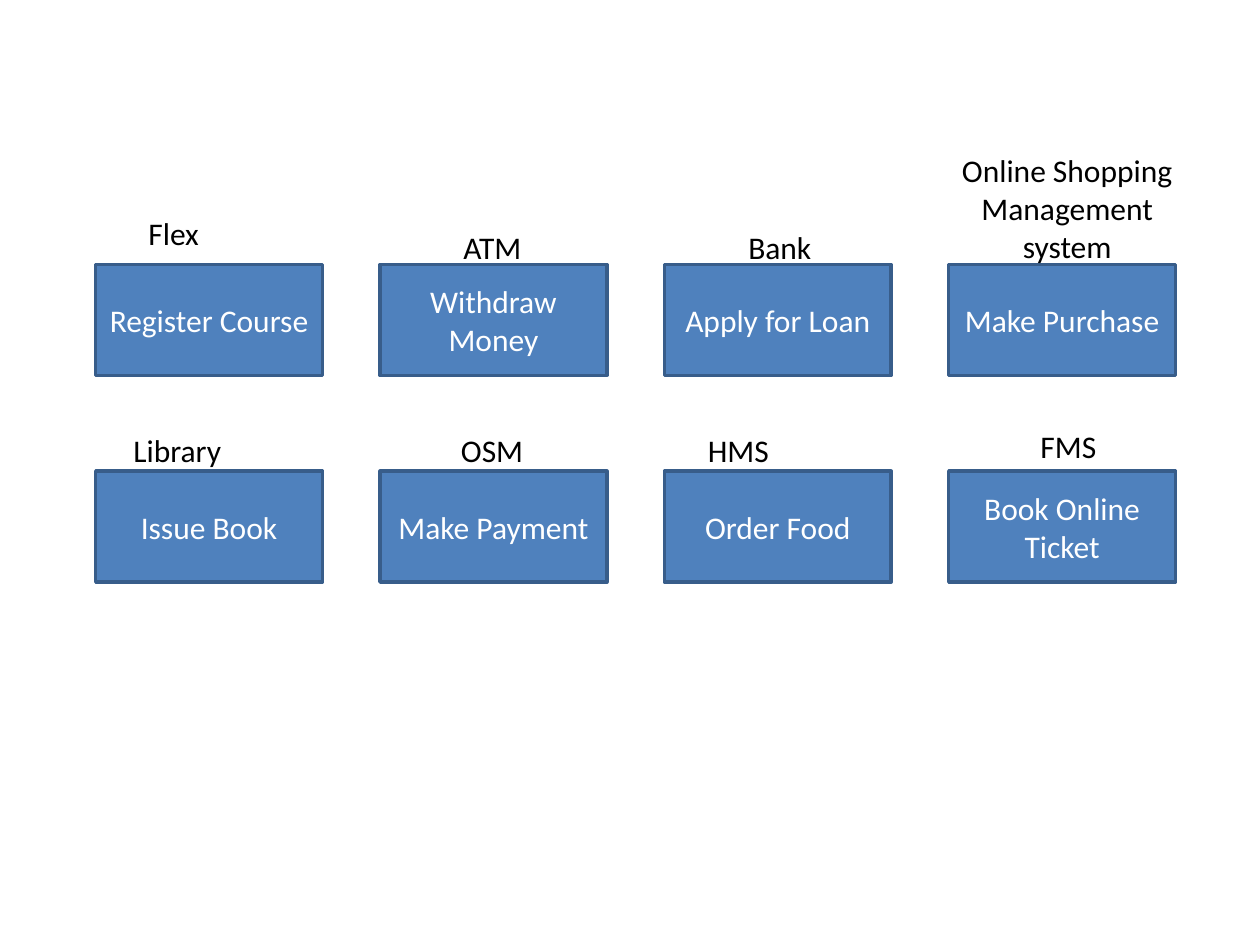
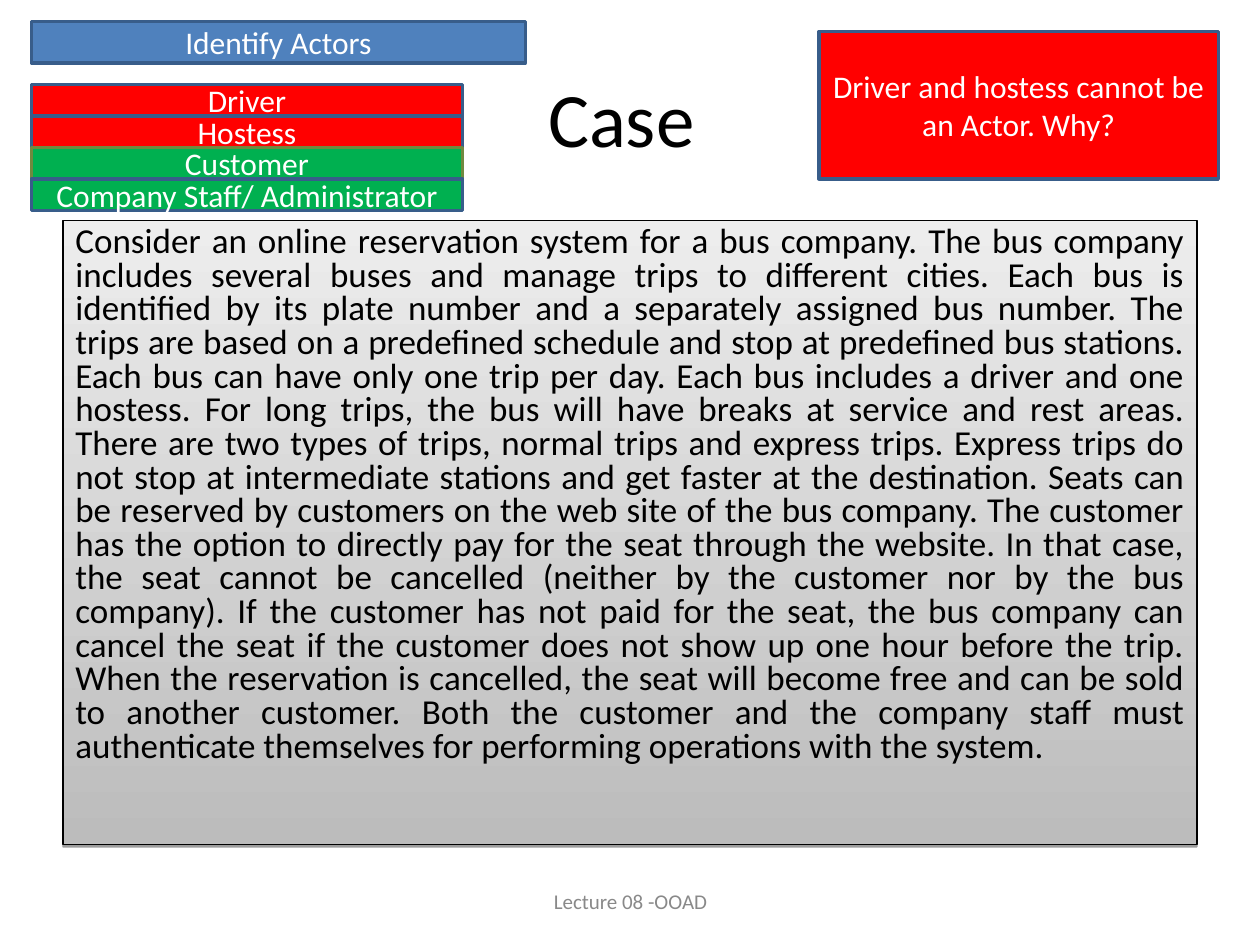
import pptx
import pptx.dml.color
import pptx.enum.shapes
import pptx.enum.text
import pptx.util
from lxml import etree
from pptx.util import Inches

ALIGN = pptx.enum.text.PP_ALIGN
ANCHOR = pptx.enum.text.MSO_ANCHOR
DRAWING = "http://schemas.openxmlformats.org/drawingml/2006/main"

FONT = "Calibri"
BLUE, NAVY, OLIVE = "4F81BD", "385D8A", "71893F"
RED, GREEN = "FF0000", "00B050"
BLACK, WHITE, GREY = "000000", "FFFFFF", "898989"

# Each row: top of its boxes, then the use cases from left to right
USE_CASES = [
    (2.1, ["Register Course", "Withdraw Money", "Apply for Loan", "Make Purchase"]),
    (3.74, ["Issue Book", "Make Payment", "Order Food", "Book Online Ticket"]),
]
CASE_LEFT, CASE_LAST_LEFT = 0.76, 7.53
CASE_SIZE = (1.8, 0.88)

# System name, left, top, width, height, alignment
SYSTEMS = [
    ("Flex", 1.08, 1.65, 1.03, 0.4, ALIGN.LEFT),
    ("ATM", 3.58, 1.76, 0.8, 0.4, ALIGN.LEFT),
    ("Bank", 5.84, 1.76, 1.01, 0.4, ALIGN.LEFT),
    ("Online Shopping Management system", 7.53, 1.15, 1.88, 1, ALIGN.CENTER),
    ("Library", 0.96, 3.37, 1.35, 0.4, ALIGN.LEFT),
    ("OSM", 3.56, 3.37, 1.45, 0.4, ALIGN.LEFT),
    ("HMS", 5.52, 3.37, 1.44, 0.4, ALIGN.LEFT),
    ("FMS", 8.16, 3.34, 1.03, 0.4, ALIGN.LEFT),
]

TITLE = "Case "
FOOTER = "Lecture 08 -OOAD"
HEADING = "Identify Actors"
QUESTION = "Driver and hostess cannot be an Actor. Why?"
# Actor, fill, outline
ACTORS = [
    ("Driver", RED, NAVY),
    ("Hostess", RED, NAVY),
    ("Customer", GREEN, OLIVE),
    ("Company Staff/ Administrator", GREEN, NAVY),
]
ACTOR_LEFT, ACTOR_TOP, ACTOR_WIDTH, ACTOR_HEIGHT = 0.25, 0.67, 3.42, 0.25

CASE_SENTENCES = [
    "Consider an online reservation system for a bus company.",
    "The bus company includes several buses and manage trips to different cities.",
    "Each bus is identified by its plate number and a separately assigned bus number.",
    "The trips are based on a predefined schedule and stop at predefined bus stations.",
    "Each bus can have only one trip per day.",
    "Each bus includes a driver and one hostess.",
    "For long trips, the bus will have breaks at service and rest areas.",
    "There are two types of trips, normal trips and express trips.",
    "Express trips do not stop at intermediate stations and get faster at the destination.",
    "Seats can be reserved by customers on the web site of the bus company.",
    "The customer has the option to directly pay for the seat through the website.",
    "In that case, the seat cannot be cancelled "
    "(neither by the customer nor by the bus company).",
    "If the customer has not paid for the seat, the bus company can cancel the seat "
    "if the customer does not show up one hour before the trip.",
    "When the reservation is cancelled, the seat will become free "
    "and can be sold to another customer.",
    "Both the customer and the company staff must authenticate themselves "
    "for performing operations with the system.",
]


def rgb(value):
    return pptx.dml.color.RGBColor.from_string(value)


def write(box, text, color, size=18, anchor=ANCHOR.MIDDLE, **para_format):
    """Put one paragraph in the box; para_format holds paragraph attributes."""
    frame = box.text_frame
    frame.word_wrap = True
    frame.vertical_anchor = anchor
    para = frame.paragraphs[0]
    for name, value in para_format.items():
        setattr(para, name, value)
    span = para.add_run()
    span.text = text
    for name, value in {"name": FONT, "size": pptx.util.Pt(size)}.items():
        setattr(span.font, name, value)
    span.font.color.rgb = rgb(color)


def add_text(page, text, place, color=BLACK, **text_format):
    box = page.shapes.add_textbox(*map(Inches, place))
    write(box, text, color, **text_format)


def add_rectangle(page, place, outline, weight):
    box = page.shapes.add_shape(
        pptx.enum.shapes.MSO_SHAPE.RECTANGLE, *map(Inches, place))
    box.shadow.inherit = False
    box.line.color.rgb = rgb(outline)
    box.line.width = pptx.util.Pt(weight)
    return box


def add_block(page, text, place, fill=BLUE, outline=NAVY):
    """Add a solid rectangle with centred white text."""
    box = add_rectangle(page, place, outline, 2)
    box.fill.solid()
    box.fill.fore_color.rgb = rgb(fill)
    write(box, text, WHITE, alignment=ALIGN.CENTER)


def add_drop_shadow(box):
    effects = box._element.spPr.find(f"{{{DRAWING}}}effectLst")
    shadow = etree.SubElement(effects, f"{{{DRAWING}}}outerShdw", blurRad="0",
                              dist="20000", dir="5400000", rotWithShape="0")
    color = etree.SubElement(shadow, f"{{{DRAWING}}}srgbClr", val=BLACK)
    etree.SubElement(color, f"{{{DRAWING}}}alpha", val="38000")


def add_case_panel(page):
    box = add_rectangle(page, (0.5, 1.75, 9, 4.95), BLACK, 0.75)
    box.fill.gradient()
    box.fill.gradient_angle = 90
    for stop, position, color in zip(
            box.fill.gradient_stops, (0, 1), ("BCBCBC", "EDEDED")):
        stop.position = position
        stop.color.rgb = rgb(color)
    add_drop_shadow(box)
    write(box, " ".join(CASE_SENTENCES), BLACK, size=20, anchor=ANCHOR.TOP,
          alignment=ALIGN.JUSTIFY, line_spacing=0.8)


def build_use_cases(page):
    for top, cases in USE_CASES:
        step = (CASE_LAST_LEFT - CASE_LEFT) / (len(cases) - 1)
        for column, case in enumerate(cases):
            add_block(page, case, (CASE_LEFT + column * step, top, *CASE_SIZE))
    for system, *place, alignment in SYSTEMS:
        add_text(page, system, place, anchor=ANCHOR.TOP, alignment=alignment)


def build_actors(page):
    add_text(page, TITLE, (0.5, 0.3, 9, 1.25), size=44, alignment=ALIGN.CENTER)
    add_case_panel(page)
    add_text(page, FOOTER, (3.42, 6.95, 3.17, 0.4), GREY, size=12,
             alignment=ALIGN.CENTER)
    add_block(page, HEADING, (0.25, 0.17, 3.92, 0.33))
    for row, (actor, fill, outline) in enumerate(ACTORS):
        top = ACTOR_TOP + row * ACTOR_HEIGHT
        add_block(page, actor, (ACTOR_LEFT, top, ACTOR_WIDTH, ACTOR_HEIGHT),
                  fill, outline)
    add_block(page, QUESTION, (6.5, 0.25, 3.17, 1.17), RED)


def main():
    deck = pptx.Presentation()
    deck.slide_width, deck.slide_height = Inches(10), Inches(7.5)
    for build in (build_use_cases, build_actors):
        build(deck.slides.add_slide(deck.slide_layouts[6]))
    deck.save("out.pptx")


if __name__ == "__main__":
    main()
